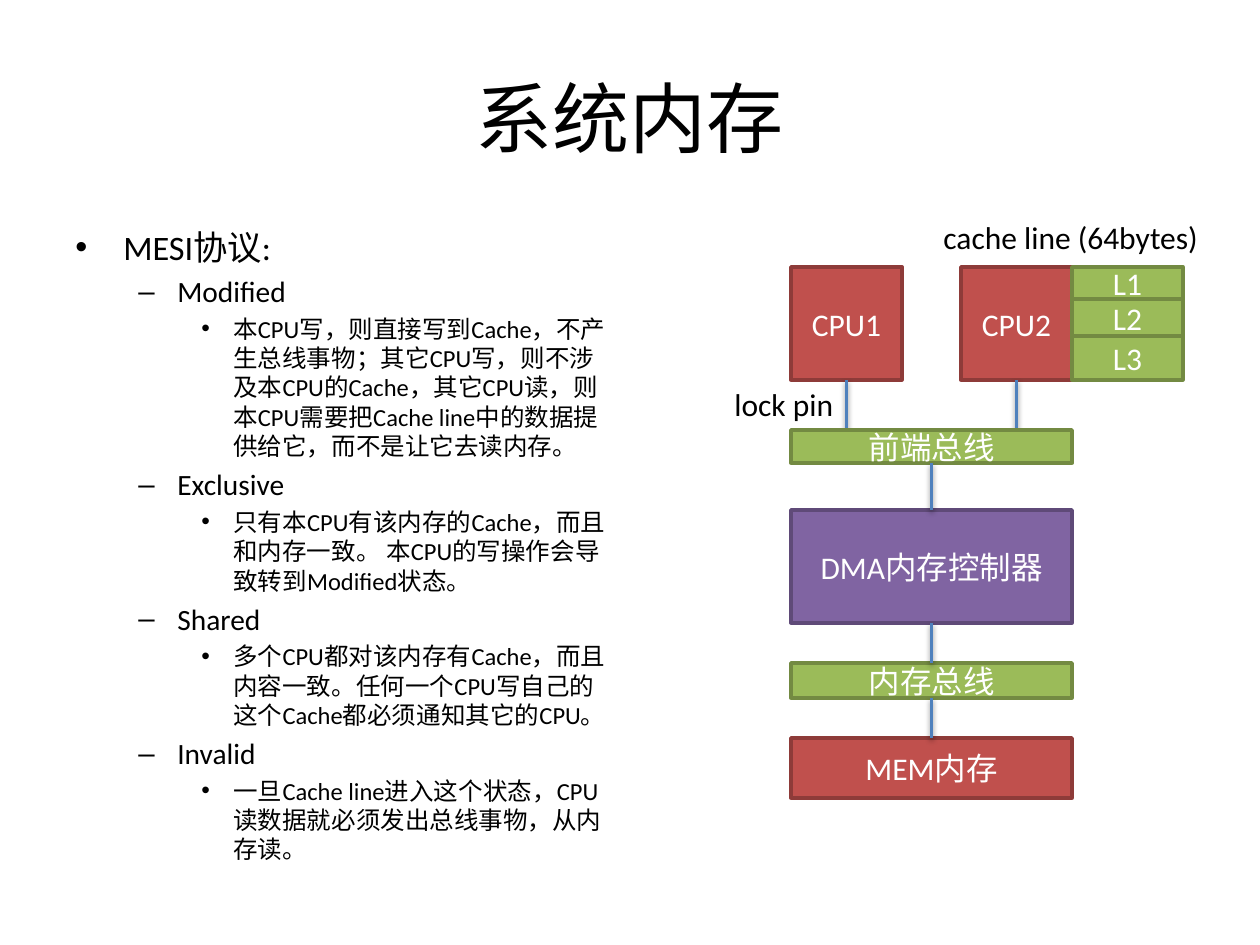
import pptx
import pptx.dml.color
import pptx.enum.shapes
import pptx.enum.text
import pptx.oxml
import pptx.oxml.ns
import pptx.util

PX = 914400 / 126
FONT = "Calibri"
BLACK, WHITE = "000000", "FFFFFF"
RED = ("C0504D", "8E3B39")
GREEN = ("9BBB59", "738A42")
PURPLE = ("8064A2", "5F4A78")
BLUE = "4F81BD"
LEVELS = [(48, 48, "•", 19.6), (102, 39, "–", 16.8), (158, 32, "•", 14)]
STATES = [
    ("Modified", "本CPU写，则直接写到Cache，不产生总线事物；其它CPU写，则不涉及本CPU的Cache，"
                 "其它CPU读，则本CPU需要把Cache line中的数据提供给它，而不是让它去读内存。"),
    ("Exclusive", "只有本CPU有该内存的Cache，而且和内存一致。 本CPU的写操作会导致转到Modified状态。"),
    ("Shared", "多个CPU都对该内存有Cache，而且内容一致。任何一个CPU写自己的这个Cache都必须通知其它的CPU。"),
    ("Invalid", "一旦Cache line进入这个状态，CPU读数据就必须发出总线事物，从内存读。"),
]


def px(n):
    """Turn px into EMU."""
    return pptx.util.Emu(round(n * PX))


def rgb(value):
    """Turn a hex string into a colour."""
    return pptx.dml.color.RGBColor.from_string(value)


def add_run(p, text, size, color):
    """Add one styled run to a paragraph."""
    r = p.add_run()
    r.text = text
    r.font.name = FONT
    r.font.size = pptx.util.Pt(size)
    r.font.color.rgb = rgb(color)


def add_text(s, box, wrap=True):
    """Add an empty text box and return its text frame."""
    tf = s.shapes.add_textbox(*map(px, box)).text_frame
    tf.word_wrap = wrap
    return tf


def add_label(s, box, text):
    """Add a one-line label."""
    tf = add_text(s, box, wrap=False)
    add_run(tf.paragraphs[0], text, 18, BLACK)


def add_block(s, box, text, colors):
    """Add a filled rectangle with centred text."""
    sp = s.shapes.add_shape(pptx.enum.shapes.MSO_SHAPE.RECTANGLE, *map(px, box))
    sp.shadow.inherit = False
    fill, line = colors
    sp.fill.solid()
    sp.fill.fore_color.rgb = rgb(fill)
    sp.line.color.rgb = rgb(line)
    sp.line.width = pptx.util.Pt(2)
    tf = sp.text_frame
    tf.vertical_anchor = pptx.enum.text.MSO_ANCHOR.MIDDLE
    p = tf.paragraphs[0]
    p.alignment = pptx.enum.text.PP_ALIGN.CENTER
    add_run(p, text, 18, WHITE)


def add_link(s, x, top, bottom):
    """Add a vertical line with a soft shadow below it."""
    kind = pptx.enum.shapes.MSO_CONNECTOR.STRAIGHT
    sp = s.shapes.add_connector(kind, px(x), px(top), px(x), px(bottom))
    sp.line.color.rgb = rgb(BLUE)
    sp.line.width = pptx.util.Pt(2)
    sp._element.spPr.append(pptx.oxml.parse_xml(
        f'<a:effectLst {pptx.oxml.ns.nsdecls("a")}>'
        '<a:outerShdw blurRad="39370" dist="20320" dir="5400000" rotWithShape="0">'
        f'<a:srgbClr val="{BLACK}"><a:alpha val="38000"/></a:srgbClr>'
        '</a:outerShdw></a:effectLst>'))


def add_bullet(p, text, level):
    """Fill a paragraph as a bullet of the given level."""
    left, hang, mark, size = LEVELS[level]
    p.level = level
    p.space_before = pptx.util.Pt(round(size * 0.2, 1))
    pPr = p._p.get_or_add_pPr()
    pPr.set("marL", str(px(left)))
    pPr.set("indent", str(-px(hang)))
    ns = pptx.oxml.ns.nsdecls("a")
    pPr.append(pptx.oxml.parse_xml(f'<a:buFont {ns} typeface="Arial"/>'))
    pPr.append(pptx.oxml.parse_xml(f'<a:buChar {ns} char="{mark}"/>'))
    add_run(p, text, size, BLACK)


def title(s, box):
    """Place the slide title."""
    tf = add_text(s, box)
    tf.vertical_anchor = pptx.enum.text.MSO_ANCHOR.MIDDLE
    p = tf.paragraphs[0]
    p.alignment = pptx.enum.text.PP_ALIGN.CENTER
    add_run(p, "系统内存", 44, BLACK)


def protocol(s, box):
    """Place the bulleted list of MESI states."""
    tf = add_text(s, box)
    add_bullet(tf.paragraphs[0], "MESI协议:", 0)
    for name, meaning in STATES:
        add_bullet(tf.add_paragraph(), name, 1)
        add_bullet(tf.add_paragraph(), meaning, 2)


def diagram(s, box):
    """Place the chain from the CPUs down to memory."""
    left, top, width, height = box
    x, cpu_w, cpu_h, gap = left + 69, 111, 113, 59
    full = 2 * cpu_w + gap
    cpu_top = top + 55
    cpu_bottom = cpu_top + cpu_h
    rows = [("前端总线", 218, 33, GREEN), ("DMA内存控制器", 298, 113, PURPLE),
            ("内存总线", 451, 35, GREEN), ("MEM内存", 526, 60, RED)]

    for i in range(2):
        cpu_x = x + i * (cpu_w + gap)
        add_block(s, (cpu_x, cpu_top, cpu_w, cpu_h), f"CPU{i + 1}", RED)
        add_link(s, cpu_x + cpu_w / 2, cpu_bottom, top + rows[0][1])

    for text, y, h, colors in rows:
        add_block(s, (x, top + y, full, h), text, colors)
    for (_, y, h, _), (_, below, _, _) in zip(rows, rows[1:]):
        add_link(s, x + full / 2, top + y + h, top + below)

    y = cpu_top
    for name, h in (("L1", 32), ("L2", 37), ("L3", 44)):
        add_block(s, (x + full, y, cpu_w, h), name, GREEN)
        y += h

    add_label(s, (left, cpu_bottom - 1, 125, 50), "lock pin")
    add_label(s, (left + width - 284, top, 284, 50), "cache line (64bytes)")


def main():
    """Build and save the slide."""
    prs = pptx.Presentation()
    prs.slide_width, prs.slide_height = px(1260), px(945)
    s = prs.slides.add_slide(prs.slide_layouts[6])
    title(s, (63, 38, 1134, 157))
    protocol(s, (63, 220, 557, 624))
    diagram(s, (722, 212, 493, 587))
    prs.save("out.pptx")


if __name__ == "__main__":
    main()
